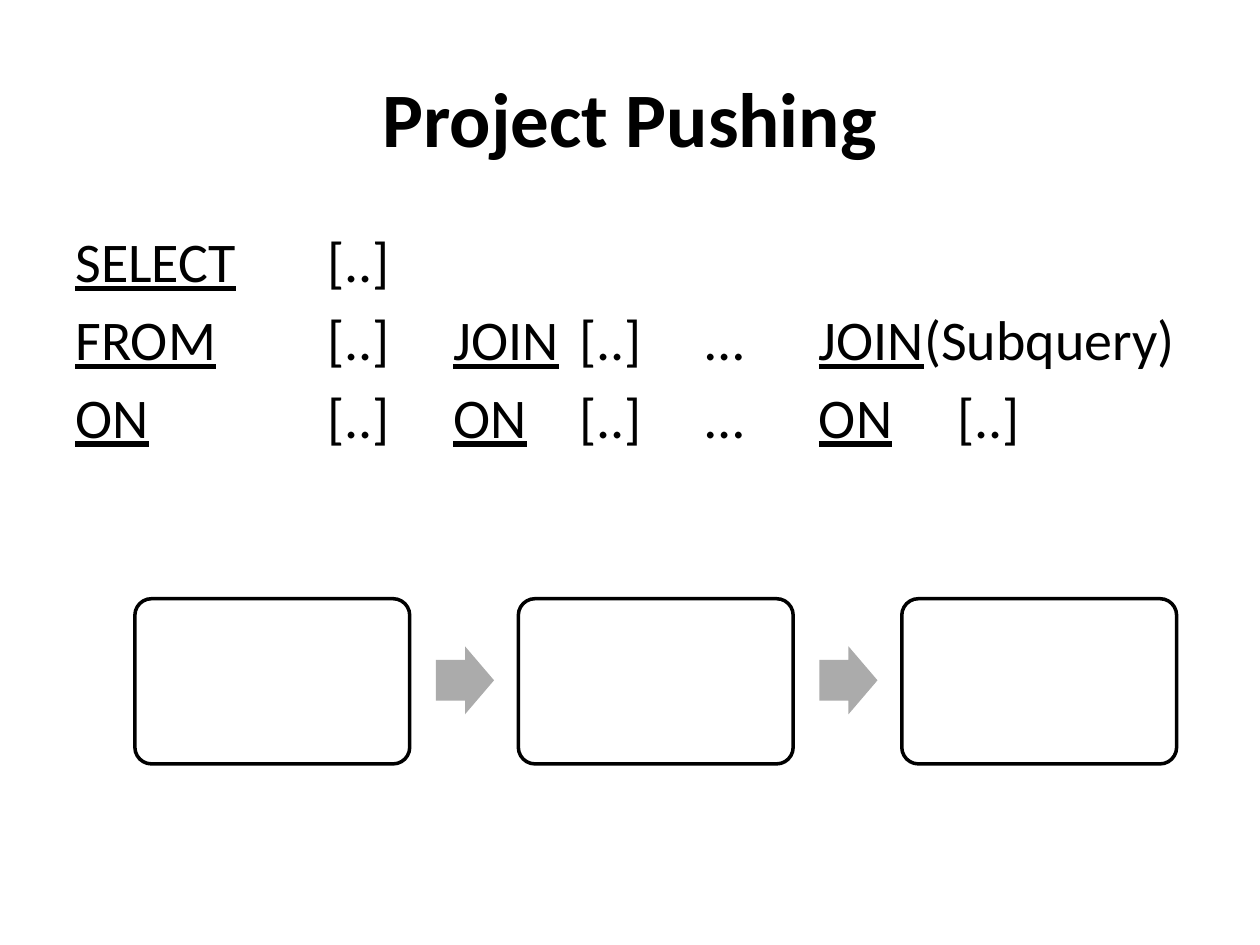
from lxml.etree import SubElement
from pptx import Presentation
from pptx.dml.color import RGBColor
from pptx.enum.shapes import MSO_SHAPE as Shape
from pptx.enum.text import MSO_ANCHOR as Anchor, PP_ALIGN as Align
from pptx.oxml.ns import qn
from pptx.util import Cm, Pt

BLACK, WHITE, GREY = "000000", "FFFFFF", "ABABAB"
TITLE_FONT = {"name": "Calibri", "size": Pt(44), "bold": True}
QUERY_FONT = {"name": "Calibri", "size": Pt(32)}

# Tab stops of the query columns, in cm from the text edge
TAB_STOPS = [5.08, 7.62, 10.16, 12.7, 14.99, 17.78]

# Each line is a list of (text, underlined)
QUERY = [
    [("SELECT", True), ("\t[..]", False)],
    [("FROM", True), ("\t[..]\t", False), ("JOIN", True),
     ("\t[..]\t…\t", False), ("JOIN", True), ("(Subquery)", False)],
    [("ON", True), ("\t[..]\t", False), ("ON", True),
     ("\t[..]\t…\t", False), ("ON", True), ("\t[..]", False)],
]

# Flow of boxes and arrows, in cm
BOX_COUNT = 3
STEP = 7.73
BOX = (2.72, 12.07, 5.54, 3.33)
ARROW = (8.79, 13.03, 1.17, 1.37)


def color(value):
    return RGBColor.from_string(value)


def format_font(font, values):
    for name, value in values.items():
        setattr(font, name, value)
    font.color.rgb = color(BLACK)


def add_title(slide, text):
    title = slide.shapes.title
    place = {"left": 1.27, "top": 0.76, "width": 22.86, "height": 3.18}
    for name, value in place.items():
        setattr(title, name, Cm(value))
    frame = title.text_frame
    frame.text = text
    frame.vertical_anchor = Anchor.MIDDLE
    paragraph = frame.paragraphs[0]
    paragraph.alignment = Align.CENTER
    format_font(paragraph.runs[0].font, TITLE_FONT)


def add_tab_stops(paragraph, stops):
    tab_list = SubElement(paragraph._p.get_or_add_pPr(), qn("a:tabLst"))
    for stop in stops:
        SubElement(tab_list, qn("a:tab"), pos=str(Cm(stop)), algn="l")


def add_query(slide, lines):
    box = slide.shapes.add_textbox(Cm(1.27), Cm(4.45), Cm(22.86), Cm(12.57))
    frame = box.text_frame
    frame.word_wrap = True
    for index, line in enumerate(lines):
        paragraph = frame.add_paragraph() if index else frame.paragraphs[0]
        paragraph.space_before = Pt(6)
        add_tab_stops(paragraph, TAB_STOPS)
        for text, underlined in line:
            run = paragraph.add_run()
            run.text = text
            format_font(run.font, {**QUERY_FONT, "underline": underlined})


def add_flow_shape(slide, kind, place, step, fill, adjustments, line=None):
    left, top, width, height = place
    shape = slide.shapes.add_shape(
        kind, Cm(left + step * STEP), Cm(top), Cm(width), Cm(height))
    shape.shadow.inherit = False
    shape.fill.solid()
    shape.fill.fore_color.rgb = color(fill)
    for index, value in enumerate(adjustments):
        shape.adjustments[index] = value
    if line:
        shape.line.color.rgb = color(line)
        shape.line.width = Pt(2)
    else:
        shape.line.fill.background()


def add_flow(slide):
    for step in range(BOX_COUNT):
        add_flow_shape(slide, Shape.ROUNDED_RECTANGLE, BOX, step,
                       WHITE, [0.1], BLACK)
        if step < BOX_COUNT - 1:
            add_flow_shape(slide, Shape.RIGHT_ARROW, ARROW, step,
                           GREY, [0.6, 0.5])


def main():
    presentation = Presentation()
    presentation.slide_width = Cm(25.4)
    presentation.slide_height = Cm(19.05)
    title_only = presentation.slide_layouts[5]
    slide = presentation.slides.add_slide(title_only)
    add_title(slide, "Project Pushing")
    add_query(slide, QUERY)
    add_flow(slide)
    presentation.save("out.pptx")


if __name__ == "__main__":
    main()
